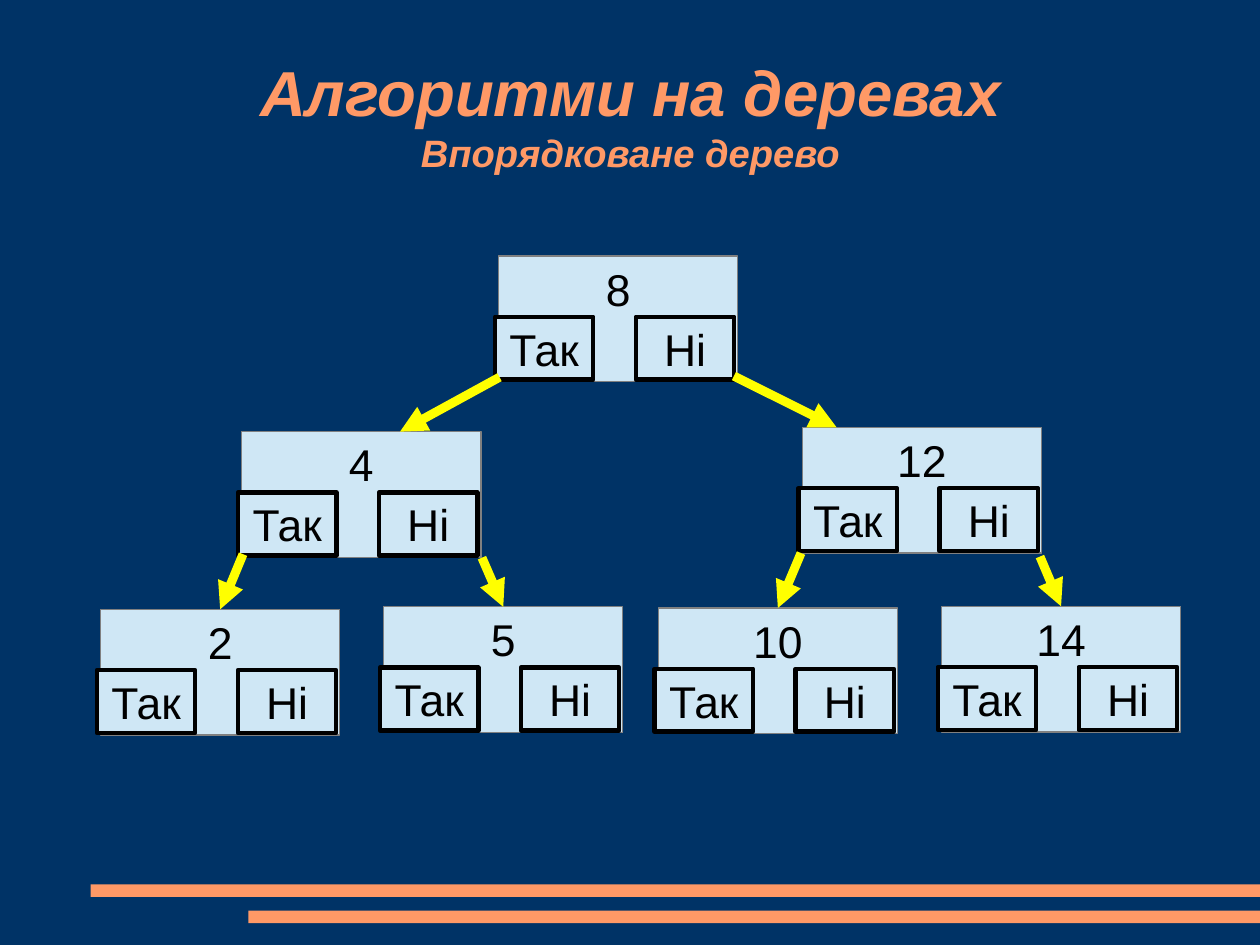
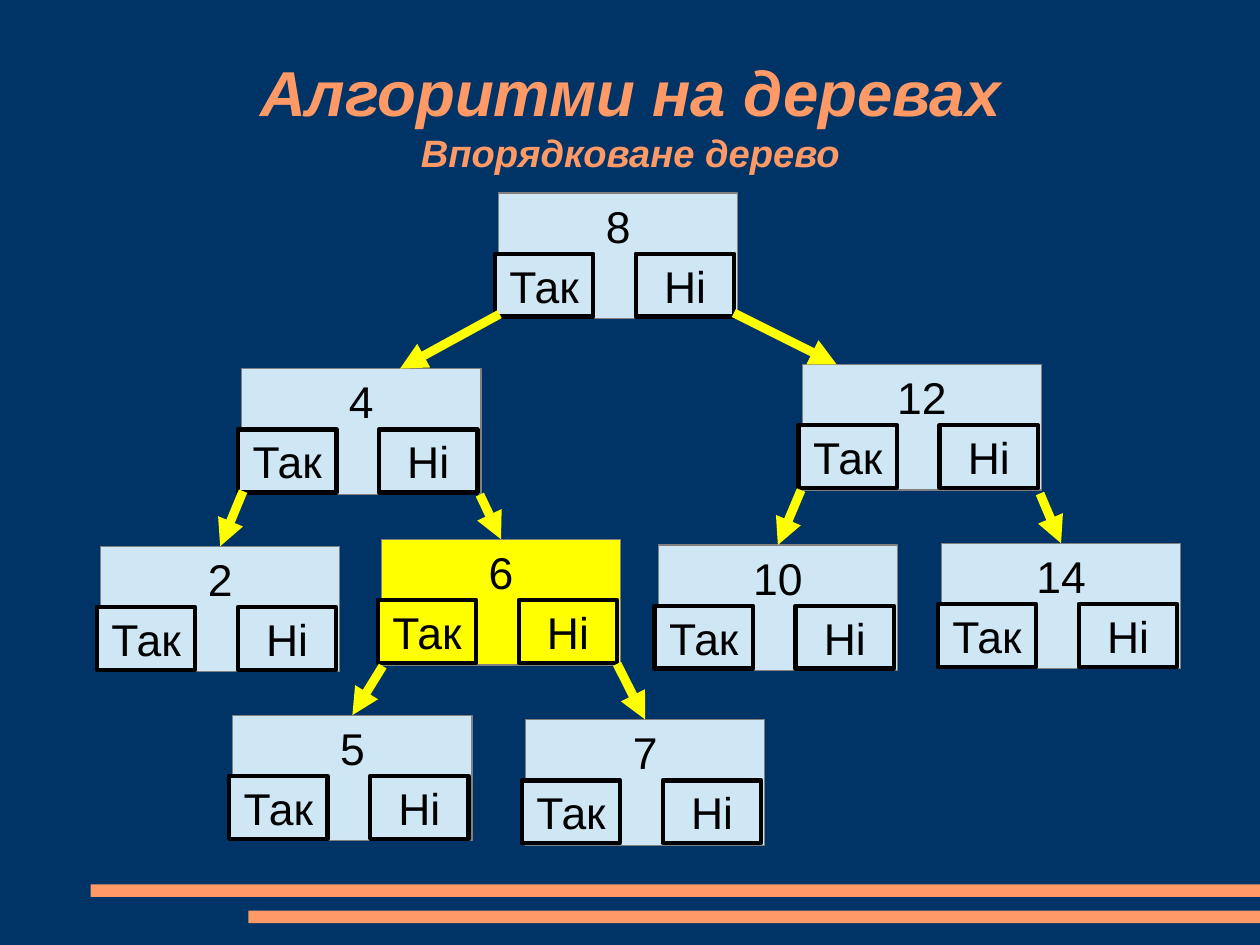
"""Build two slides that show an ordered tree before and after an insertion."""
from lxml.etree import SubElement
from pptx import Presentation
from pptx.dml.color import RGBColor
from pptx.enum.shapes import MSO_CONNECTOR, MSO_SHAPE
from pptx.enum.text import MSO_ANCHOR, PP_ALIGN
from pptx.oxml.ns import qn
from pptx.util import Pt

HUES = {
    "back": "003366",
    "accent": "FF9966",
    "node": "CFE7F5",
    "new": "FFFF00",
    "arrow": "FFFF00",
    "edge": "808080",
    "ink": "000000",
}
FONT = "Arial"
WIDE, HIGH = 793.7, 595.28
BANDS = [(57.1, 557), (156.4, 573.6)]
NODE_W, NODE_H = 150.8, 79.2
KEY_W, KEY_H, KEY_Y = 61.9, 39.6, 38.3
KEYS = [("Ні", 86.6), ("Так", -2.2)]

TOP = [
    ("8", 314, 161.3, "node", None, None, None),
    ("4", 152.2, 271.9, "node", "8", (0.7, 76.3), 99.8),
    ("12", 505.3, 269.2, "node", "8", (148.3, 75.6), 21.7),
    ("2", 63.3, 383.8, "node", "4", (0.9, 77.2), None),
    ("10", 414.6, 383, "node", "12", (-0.7, 79.2), None),
    ("14", 593, 381.9, "node", "12", (149.8, 81.4), None),
]
OLD = [("5", 241.6, 382.3, "node", "4", (151.4, 79.4), None)]
NEW = [
    ("6", 240.2, 379.4, "new", "4", (150.1, 79.4), None),
    ("5", 146.6, 490.2, "node", "6", (0.9, 79.9), None),
    ("7", 331, 492.9, "node", "6", (148.5, 78.5), None),
]
TREES = [(TOP + OLD, 0), (TOP + NEW, -39.7)]


def add_box(home, left, top, wide, high, fill, edge=None, line=0):
    box = home.add_shape(MSO_SHAPE.RECTANGLE, Pt(left), Pt(top), Pt(wide), Pt(high))
    box.shadow.inherit = False
    box.fill.solid()
    box.fill.fore_color.rgb = RGBColor.from_string(HUES[fill])
    if edge:
        box.line.color.rgb = RGBColor.from_string(HUES[edge])
        box.line.width = Pt(line)
    else:
        box.line.fill.background()
    return box


def set_text(box, text, sizes, hue, anchor, pad, bold=False):
    frame = box.text_frame
    frame.text = text
    frame.word_wrap = False
    frame.vertical_anchor = anchor
    frame.margin_left = frame.margin_right = Pt(pad[0])
    frame.margin_top = frame.margin_bottom = Pt(pad[1])
    para = frame.paragraphs[0]
    para.alignment = PP_ALIGN.CENTER
    for run, size in zip(para.runs, sizes):
        run.font.name = FONT
        run.font.size = Pt(size)
        run.font.bold = run.font.italic = bold
        run.font.color.rgb = RGBColor.from_string(HUES[hue])


deck = Presentation()
deck.slide_width, deck.slide_height = Pt(WIDE), Pt(HIGH)
back = deck.slide_master.background.fill
back.solid()
back.fore_color.rgb = RGBColor.from_string(HUES["back"])

for tree, shift in TREES:
    slide = deck.slides.add_slide(deck.slide_layouts[6])
    shapes = slide.shapes
    for left, top in BANDS:
        add_box(shapes, left, top, WIDE - left, 7.9, "accent")
    title = shapes.add_textbox(Pt(58.3), Pt(22.3), Pt(677.5), Pt(99.4))
    set_text(title, "Алгоритми на деревах\vВпорядковане дерево", (40, 24),
             "accent", MSO_ANCHOR.MIDDLE, (0, 0), True)
    title.text_frame.word_wrap = True

    nodes = {}
    for name, left, top, fill, root, start, end in tree:
        top += shift
        group = shapes.add_group_shape().shapes
        node = add_box(group, left, top, NODE_W, NODE_H, fill, "edge")
        set_text(node, name, (28,), "ink", MSO_ANCHOR.TOP, (7.2, 3.6))
        nodes[name] = (node, left, top)
        for word, gap in KEYS:
            key = add_box(group, left + gap, top + KEY_Y, KEY_W, KEY_H, fill, "ink", 2.83)
            set_text(key, word, (28,), "ink", MSO_ANCHOR.MIDDLE, (8.6, 5))

    for name, left, top, fill, root, start, end in tree:
        if root is None:
            continue
        node, left, top = nodes[name]
        base = nodes[root]
        goal = NODE_W / 2 if end is None else end
        arrow = shapes.add_connector(
            MSO_CONNECTOR.STRAIGHT, Pt(base[1] + start[0]), Pt(base[2] + start[1]),
            Pt(left + goal), Pt(top))
        if end is None:
            arrow.end_connect(node, 0)
        arrow.line.color.rgb = RGBColor.from_string(HUES["arrow"])
        arrow.line.width = Pt(5.67)
        props = arrow._element.spPr
        SubElement(props.find(qn("a:ln")), qn("a:tailEnd"), type="triangle")
        SubElement(props, qn("a:effectLst"))

deck.save("out.pptx")
